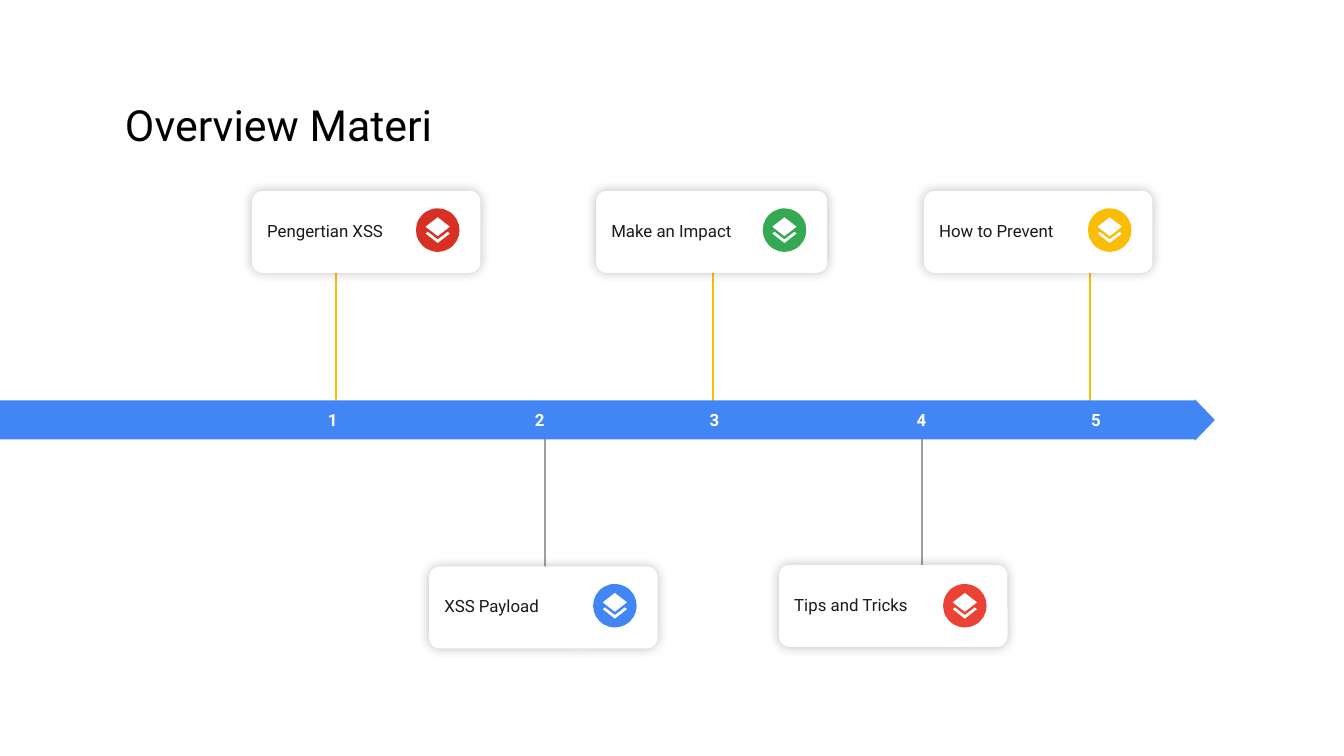
from collections import namedtuple

from lxml import etree
from pptx import Presentation
from pptx import util as u
from pptx.dml.color import RGBColor
from pptx.enum import shapes, text
from pptx.oxml import ns

WHITE = RGBColor(0xFF, 0xFF, 0xFF)
BLACK = RGBColor(0x00, 0x00, 0x00)
INK = RGBColor(0x1A, 0x1A, 0x1A)
GREY = RGBColor(0x9A, 0xA0, 0xA6)
BLUE = RGBColor(0x42, 0x85, 0xF4)
GREEN = RGBColor(0x34, 0xA8, 0x53)
YELLOW = RGBColor(0xFB, 0xBC, 0x04)
CRIMSON = RGBColor(0xD9, 0x30, 0x25)
RED = RGBColor(0xEA, 0x43, 0x35)
FONT = "Roboto"

# Grid of square cells on a 16:9 slide
CELL = u.Inches(0.1)
COLS, ROWS = 100, 56.25

Box = namedtuple("Box", "x y w h")
Milestone = namedtuple("Milestone", "label color card_x card_y card_w")

MILESTONES = [
    Milestone("Pengertian XSS", CRIMSON, 18.75, 14.2, 17),
    Milestone("XSS Payload", BLUE, 31.93, 42.15, 17),
    Milestone("Make an Impact", GREEN, 44.35, 14.2, 17.2),
    Milestone("Tips and Tricks", RED, 57.97, 42.03, 17),
    Milestone("How to Prevent", YELLOW, 68.75, 14.2, 17),
]
AXIS = Box(-0.2, 29.7, 90.6, 3.1)
CARD_H = 6.1
BADGE = 3.24
UPPER_BADGE_Y, LOWER_BADGE_Y = 15.5, 43.45
PERIOD = 28.4  # distance between two numbers on the same side of the axis

# Layers icon on a grid of 240 units, centred on (120, 115)
CHEVRON = [(120, 185), (46, 128), (30, 141), (120, 211), (210, 141), (194, 128)]
DIAMOND = [(120, 160), (194, 103), (210, 90), (120, 20), (30, 90), (46, 103)]


def cells(*values):
    return [u.Emu(round(v * CELL)) for v in values]


def add_shape(s, kind, box, fill=None, adjustments=()):
    sp = s.shapes.add_shape(kind, *cells(*box))
    sp.shadow.inherit = False
    sp.line.fill.background()
    if fill is None:
        sp.fill.background()
    else:
        sp.fill.solid()
        sp.fill.fore_color.rgb = fill
    for i, value in enumerate(adjustments):
        sp.adjustments[i] = value
    return sp


def set_text(sp, words, size, color, align, margin=0, bold=False,
             anchor=text.MSO_ANCHOR.MIDDLE):
    tf = sp.text_frame
    tf.text = words
    tf.word_wrap = True
    tf.auto_size = text.MSO_AUTO_SIZE.NONE
    tf.vertical_anchor = anchor
    tf.margin_left = tf.margin_right = u.Inches(margin)
    tf.margin_top = tf.margin_bottom = u.Inches(margin)
    p = tf.paragraphs[0]
    p.alignment = align
    p.font.name, p.font.size, p.font.bold = FONT, u.Pt(size), bold
    p.font.color.rgb = color
    return p


def add_title(s, box, words):
    sp = s.shapes.title
    sp.left, sp.top, sp.width, sp.height = cells(*box)
    set_text(sp, words, 23, BLACK, text.PP_ALIGN.LEFT,
             anchor=text.MSO_ANCHOR.BOTTOM)


def add_stem(s, x, y1, y2, color):
    line = s.shapes.add_connector(shapes.MSO_CONNECTOR.STRAIGHT,
                                  *cells(x, y1, x, y2))
    line.line.color.rgb = color
    line.line.width = u.Pt(1.5)
    etree.SubElement(line._element.spPr, ns.qn("a:effectLst"))


def add_glow(sp):
    effects = sp._element.spPr.find(ns.qn("a:effectLst"))
    shadow = etree.SubElement(effects, ns.qn("a:outerShdw"),
                              blurRad=str(u.Pt(6)), dist="0", dir="0",
                              algn="ctr", rotWithShape="0")
    color = etree.SubElement(shadow, ns.qn("a:srgbClr"), val=str(BLACK))
    etree.SubElement(color, ns.qn("a:alpha"), val="25000")


def add_badge(s, box, color):
    add_shape(s, shapes.MSO_SHAPE.OVAL, box, color)
    builder = s.shapes.build_freeform(*CHEVRON[0], scale=CELL / 100)
    builder.add_line_segments(CHEVRON[1:], close=True)
    builder.move_to(*DIAMOND[0])
    builder.add_line_segments(DIAMOND[1:], close=True)
    icon = builder.convert_to_shape(*cells(box.x + box.w / 2 - 1.2,
                                           box.y + box.h / 2 - 1.15))
    icon.shadow.inherit = False
    icon.fill.solid()
    icon.fill.fore_color.rgb = WHITE
    icon.line.fill.background()


def add_card(s, box, words):
    sp = add_shape(s, shapes.MSO_SHAPE.ROUNDED_RECTANGLE, box, WHITE, [0.13])
    add_glow(sp)
    p = set_text(sp, words, 9, INK, text.PP_ALIGN.LEFT, margin=0.09)
    p.line_spacing = 0.9


def add_timeline(s, axis, milestones):
    # Stems, behind the axis and the cards
    for i, m in enumerate(milestones):
        pair, below = divmod(i, 2)
        if below:
            add_stem(s, 40.55 + 28.05 * pair, 45.6, axis.y + 2.5, GREY)
        else:
            add_stem(s, 25 + 28.05 * pair, axis.y + 0.4, m.card_y + 3.6, YELLOW)

    # Axis and its numbers
    add_shape(s, shapes.MSO_SHAPE.RIGHT_ARROW, axis, BLUE, [0.937, 0.481])
    for i in range(len(milestones)):
        pair, below = divmod(i, 2)
        box = Box(20.2 + PERIOD * pair + 15.4 * below, axis.y - 0.2, 9.1, 3.5)
        sp = add_shape(s, shapes.MSO_SHAPE.ROUNDED_RECTANGLE, box,
                       adjustments=[0])
        set_text(sp, str(i + 1), 9, WHITE, text.PP_ALIGN.CENTER, bold=True)

    # Cards with their badges, alternating above and below the axis
    for i, m in enumerate(milestones):
        add_card(s, Box(m.card_x, m.card_y, m.card_w, CARD_H), m.label)
        badge_y = LOWER_BADGE_Y if i % 2 else UPPER_BADGE_Y
        badge_x = m.card_x + m.card_w - 4.8
        add_badge(s, Box(badge_x, badge_y, BADGE, BADGE), m.color)


def main():
    prs = Presentation()
    prs.slide_width, prs.slide_height = cells(COLS, ROWS)
    s = prs.slides.add_slide(prs.slide_layouts.get_by_name("Title Only"))
    s.background.fill.solid()
    s.background.fill.fore_color.rgb = WHITE
    add_timeline(s, AXIS, MILESTONES)
    add_title(s, Box(9.3, 7.2, 41.6, 4), "Overview Materi")
    prs.save("out.pptx")


if __name__ == "__main__":
    main()
